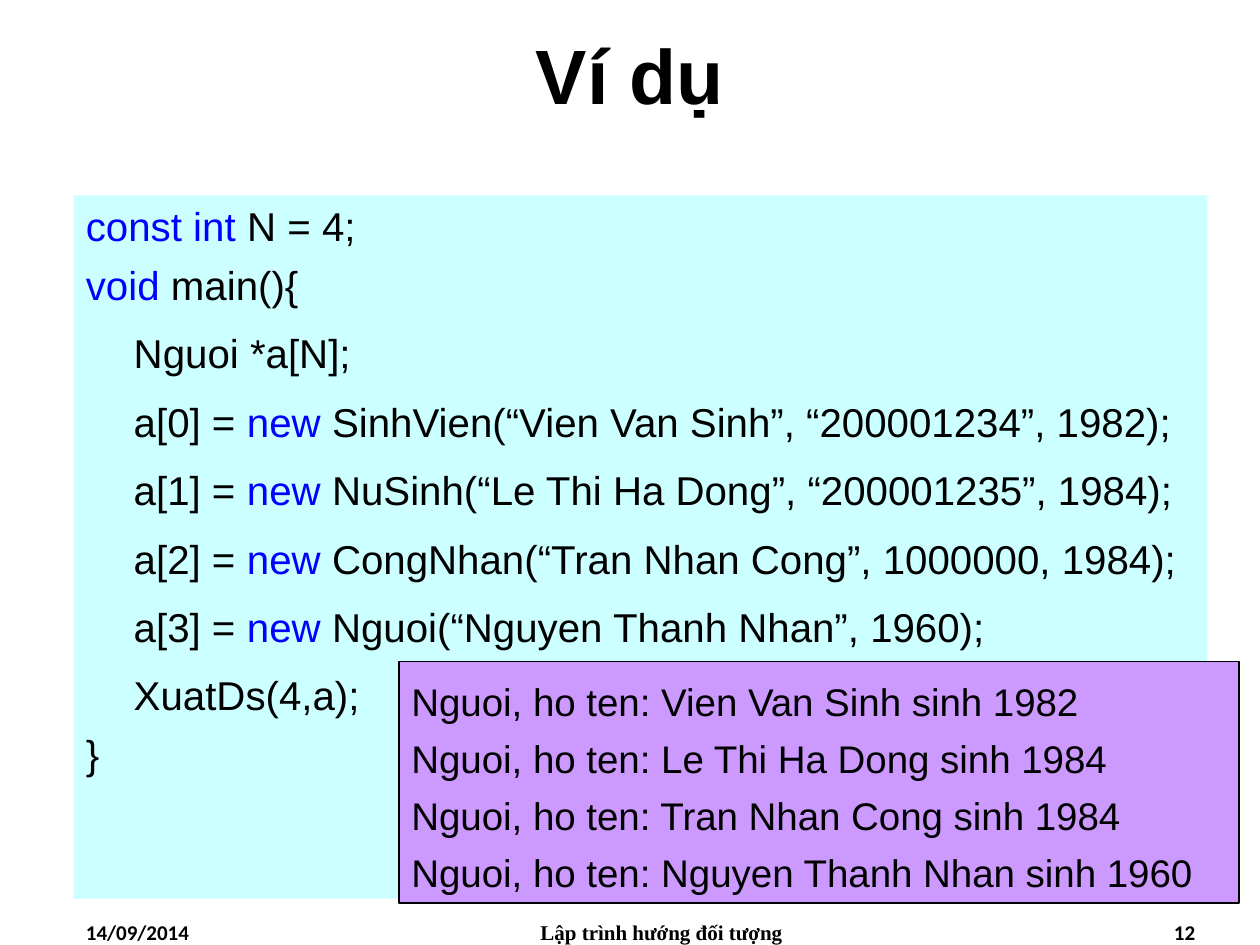
"""Build the example slide: a code panel, its output box and a footer."""
from pptx import Presentation
from pptx.dml.color import RGBColor
from pptx.enum.shapes import MSO_SHAPE
from pptx.enum.text import MSO_ANCHOR, PP_ALIGN
from pptx.util import Inches, Pt

HUES = {"ink": "000000", "key": "0000FF", "code": "CCFFFF", "out": "CC99FF"}
COL, ROW = Inches(10) // 120, Inches(7.5) // 90


def tint(name):
    return RGBColor.from_string(HUES[name])


def write(para, parts, face, size, bold=False, **form):
    for key, val in form.items():
        setattr(para, key, val)
    for text, hue in parts:
        run = para.add_run()
        run.text = text
        look = {"name": face, "size": Pt(size), "bold": bold}
        for key, val in look.items():
            setattr(run.font, key, val)
        run.font.color.rgb = tint(hue)


deck = Presentation()
deck.slide_width, deck.slide_height = 120 * COL, 90 * ROW
slide = deck.slides.add_slide(deck.slide_layouts[5])
shapes = slide.shapes

title = shapes.title
place = {"left": 0, "top": 0, "width": 120 * COL, "height": 14 * ROW}
for key, val in place.items():
    setattr(title, key, val)
title.text_frame.vertical_anchor = MSO_ANCHOR.MIDDLE
write(title.text_frame.paragraphs[0], [("Ví dụ", "ink")], "Arial", 44, True,
      alignment=PP_ALIGN.CENTER)

foot = [
    (7, 28, "14/09/2014", "Calibri", PP_ALIGN.LEFT),
    (44, 38, "Lập trình hướng đối tượng", "Times New Roman", PP_ALIGN.CENTER),
    (87, 28, "12", "Calibri", PP_ALIGN.RIGHT),
]
for left, wide, text, face, side in foot:
    box = shapes.add_textbox(left * COL, 87 * ROW, wide * COL, 3 * ROW)
    box.text_frame.word_wrap = True
    write(box.text_frame.paragraphs[0], [(text, "ink")], face, 12, True,
          alignment=side)

calls = [
    "SinhVien(“Vien Van Sinh”, “200001234”, 1982);",
    "NuSinh(“Le Thi Ha Dong”, “200001235”, 1984);",
    "CongNhan(“Tran Nhan Cong”, 1000000, 1984);",
    "Nguoi(“Nguyen Thanh Nhan”, 1960);",
]
code = [
    [("const int", "key"), (" N = 4;", "ink")],
    [("void", "key"), (" main(){", "ink")],
    [("\tNguoi *a[N];", "ink")],
    *[[(f"\ta[{i}] = ", "ink"), ("new", "key"), (f" {call}", "ink")]
      for i, call in enumerate(calls)],
    [("\tXuatDs(4,a);", "ink")],
    [("}", "ink")],
]
people = [("Vien Van Sinh", 1982), ("Le Thi Ha Dong", 1984),
          ("Tran Nhan Cong", 1984), ("Nguyen Thanh Nhan", 1960)]
lines = [[(f"Nguoi, ho ten: {name} sinh {year}", "ink")]
         for name, year in people]

panels = [
    ("code", (7, 18.6, 108, 67), code, 23, 6, MSO_ANCHOR.TOP),
    ("out", (38, 63, 80, 23), lines, 22, 1, MSO_ANCHOR.MIDDLE),
]
for hue, (left, top, wide, high), rows, size, gap, hold in panels:
    panel = shapes.add_shape(MSO_SHAPE.RECTANGLE, left * COL, int(top * ROW),
                             wide * COL, high * ROW)
    panel.shadow.inherit = False
    panel.fill.solid()
    panel.fill.fore_color.rgb = tint(hue)
    if hue == "out":
        panel.line.color.rgb = tint("ink")
        panel.line.width = Pt(0.75)
    else:
        panel.line.fill.background()
    frame = panel.text_frame
    frame.word_wrap = True
    frame.vertical_anchor = hold
    for i, parts in enumerate(rows):
        para = frame.add_paragraph() if i else frame.paragraphs[0]
        deep = hue == "out" or parts[0][0].startswith("\t")
        write(para, parts, "Arial", size, alignment=PP_ALIGN.LEFT,
              space_before=Pt(gap), line_spacing=1.2 if deep else 1.0)
        if hue == "code":
            props = para._p.get_or_add_pPr()
            props.set("marL", str(Inches(0.38)))
            props.set("indent", str(-Inches(0.38)))

deck.save("out.pptx")
